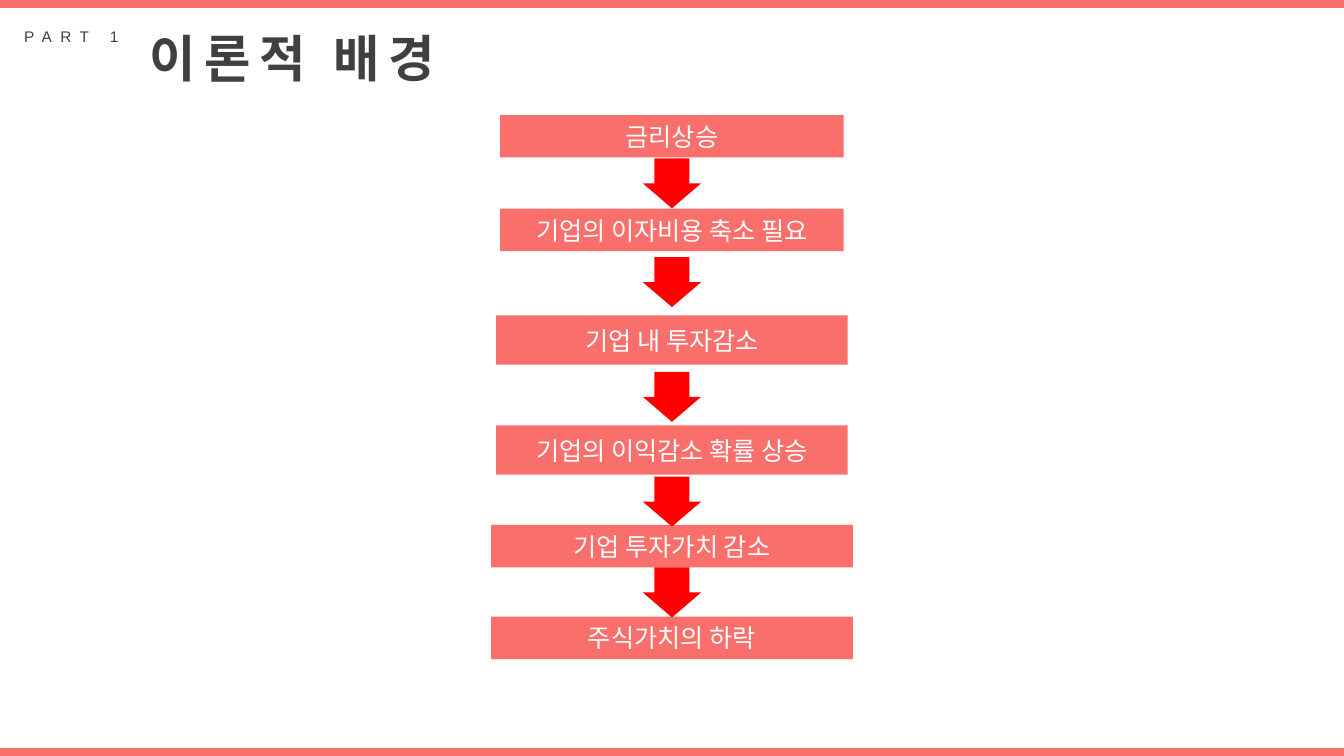
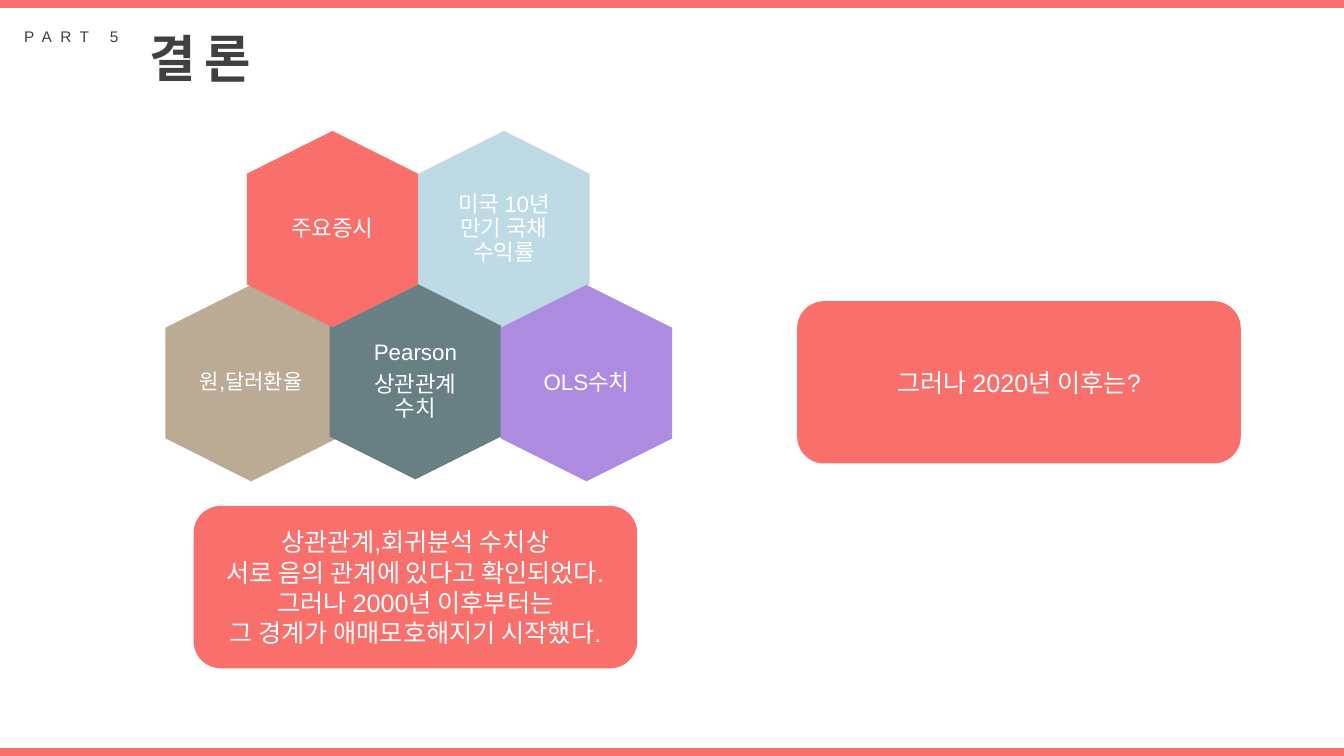
from dataclasses import dataclass

from pptx import Presentation
from pptx.dml.color import RGBColor
from pptx.enum.shapes import MSO_SHAPE
from pptx.enum.text import MSO_ANCHOR, MSO_AUTO_SIZE, PP_ALIGN
from pptx.shapes.autoshape import Shape
from pptx.slide import Slide
from pptx.util import Cm, Pt

RECTANGLE = MSO_SHAPE.RECTANGLE
DOWN_ARROW = MSO_SHAPE.DOWN_ARROW
ROUNDED_PANEL = MSO_SHAPE.FLOWCHART_ALTERNATE_PROCESS
CENTER = PP_ALIGN.CENTER
MIDDLE = MSO_ANCHOR.MIDDLE
GROW = MSO_AUTO_SIZE.SHAPE_TO_FIT_TEXT

FONT = "Arial"
COLORS = {
    "coral": "F86F6C",
    "red": "FF0000",
    "sky": "BEDAE5",
    "sand": "BBAB94",
    "slate": "688084",
    "violet": "AD8BE1",
    "heading": "404040",
    "white": "FFFFFF",
}
SLIDE_WIDTH, SLIDE_HEIGHT = 33.87, 19.05
BAND_HEIGHT = 0.2
ARROW_WIDTH, ARROW_HEIGHT = 1.47, 1.26
HEXAGON_WIDTH, HEXAGON_HEIGHT, HEXAGON_SHOULDER = 4.32, 4.95, 1.08
PANEL_WIDTH, PANEL_HEIGHT = 11.18, 4.09


@dataclass(frozen=True)
class Step:
    text: str
    top: float
    width: float
    height: float


@dataclass(frozen=True)
class Hexagon:
    lines: tuple[str, ...]
    left: float
    top: float
    color: str
    size: int = 16


@dataclass(frozen=True)
class Panel:
    lines: tuple[str, ...]
    left: float
    top: float


STEPS = (
    Step("금리상승", 2.9, 8.66, 1.07),
    Step("기업의 이자비용 축소 필요", 5.26, 8.66, 1.07),
    Step("기업 내 투자감소", 7.95, 8.86, 1.24),
    Step("기업의 이익감소 확률 상승", 10.72, 8.86, 1.24),
    Step("기업 투자가치 감소", 13.23, 9.12, 1.07),
    Step("주식가치의 하락", 15.54, 9.12, 1.07),
)
ARROW_TOPS = (3.99, 6.48, 9.37, 12.01, 14.3)

HEXAGONS = (
    Hexagon(("미국 10년 만기 국채 수익률",), 10.54, 3.3, "sky"),
    Hexagon(("원,달러환율",), 4.17, 7.18, "sand", 15),
    Hexagon(("Pearson", "상관관계 수치"), 8.31, 7.13, "slate"),
    Hexagon(("OLS수치",), 12.62, 7.18, "violet"),
    Hexagon(("주요증시",), 6.22, 3.3, "coral"),
)
PANELS = (
    Panel(
        (
            "상관관계,회귀분석 수치상",
            "서로 음의 관계에 있다고 확인되었다.",
            "그러나 2000년 이후부터는",
            "그 경계가 애매모호해지기 시작했다.",
        ),
        4.88,
        12.75,
    ),
    Panel(("그러나 2020년 이후는?",), 20.09, 7.59),
)


def paint(shape: Shape, color: str) -> None:
    """Give a shape a flat fill with no line or shadow."""
    shape.shadow.inherit = False
    shape.fill.solid()
    shape.fill.fore_color.rgb = RGBColor.from_string(COLORS[color])
    shape.line.fill.background()


def write_centered(shape: Shape, lines: tuple[str, ...], size: int) -> None:
    """Write white centred paragraphs into a shape."""
    frame = shape.text_frame
    frame.word_wrap = True
    frame.vertical_anchor = MIDDLE
    frame.text = "\n".join(lines)
    for paragraph in frame.paragraphs:
        paragraph.alignment = CENTER
        paragraph.font.name = FONT
        paragraph.font.size = Pt(size)
        paragraph.font.color.rgb = RGBColor.from_string(COLORS["white"])


def add_block(slide: Slide, kind: MSO_SHAPE, left: float, top: float,
              width: float, height: float, color: str) -> Shape:
    """Add a flat preset shape measured in centimetres."""
    shape = slide.shapes.add_shape(kind, Cm(left), Cm(top), Cm(width), Cm(height))
    paint(shape, color)
    return shape


def add_heading(slide: Slide, text: str, left: float, width: float,
                height: float, size: int, bold: bool) -> None:
    """Add a letter-spaced heading at the top of the slide."""
    box = slide.shapes.add_textbox(Cm(left), Cm(0.56), Cm(width), Cm(height))
    frame = box.text_frame
    frame.word_wrap = False
    frame.auto_size = GROW
    paragraph = frame.paragraphs[0]
    paragraph.font.name = FONT
    paragraph.font.size = Pt(size)
    paragraph.font.bold = bold
    paragraph.font.color.rgb = RGBColor.from_string(COLORS["heading"])
    run = paragraph.add_run()
    run.text = text
    run._r.get_or_add_rPr().set("spc", "600")


def add_base_slide(presentation: Presentation, part: str, title: str,
                   title_width: float) -> Slide:
    """Add a blank slide with its bands, part label and title."""
    slide = presentation.slides.add_slide(presentation.slide_layouts[6])
    for top in (0, SLIDE_HEIGHT - BAND_HEIGHT):
        add_block(slide, RECTANGLE, 0, top, SLIDE_WIDTH, BAND_HEIGHT, "coral")
    add_heading(slide, title, 3.53, title_width, 1.8, 36, True)
    add_heading(slide, part, 0.36, 3.18, 0.74, 11, False)
    return slide


def add_step(slide: Slide, step: Step) -> None:
    """Add a centred box of the flow."""
    left = (SLIDE_WIDTH - step.width) / 2
    box = add_block(slide, RECTANGLE, left, step.top, step.width, step.height, "coral")
    write_centered(box, (step.text,), 18)


def add_arrow(slide: Slide, top: float) -> None:
    """Add a centred arrow pointing down to the next step."""
    left = (SLIDE_WIDTH - ARROW_WIDTH) / 2
    arrow = add_block(slide, DOWN_ARROW, left, top, ARROW_WIDTH, ARROW_HEIGHT, "red")
    arrow.adjustments[0] = 0.6
    arrow.adjustments[1] = 0.5


def add_hexagon(slide: Slide, hexagon: Hexagon) -> None:
    """Add a pointed-top hexagon with its label."""
    left, middle = hexagon.left, hexagon.left + HEXAGON_WIDTH / 2
    right = left + HEXAGON_WIDTH
    top, bottom = hexagon.top, hexagon.top + HEXAGON_HEIGHT
    upper, lower = top + HEXAGON_SHOULDER, bottom - HEXAGON_SHOULDER
    corners = ((right, upper), (right, lower), (middle, bottom), (left, lower), (left, upper))
    builder = slide.shapes.build_freeform(Cm(middle), Cm(top))
    builder.add_line_segments([(Cm(x), Cm(y)) for x, y in corners], close=True)
    shape = builder.convert_to_shape()
    paint(shape, hexagon.color)
    write_centered(shape, hexagon.lines, hexagon.size)
    frame = shape.text_frame
    frame.margin_left = frame.margin_right = Cm(0.66)
    frame.margin_top = frame.margin_bottom = Cm(0.74)
    for paragraph in frame.paragraphs:
        paragraph.line_spacing = 0.9
        paragraph.space_after = Pt(6)


def add_panel(slide: Slide, panel: Panel) -> None:
    """Add a rounded panel with a statement."""
    shape = add_block(slide, ROUNDED_PANEL, panel.left, panel.top,
                      PANEL_WIDTH, PANEL_HEIGHT, "coral")
    write_centered(shape, panel.lines, 18)


def build_background_slide(presentation: Presentation) -> None:
    """Build the flow from rising rates to falling share value."""
    slide = add_base_slide(presentation, "PART 1", "이론적 배경", 8.56)
    for step in STEPS:
        add_step(slide, step)
    for top in ARROW_TOPS:
        add_arrow(slide, top)


def build_conclusion_slide(presentation: Presentation) -> None:
    """Build the hexagon cluster and the concluding panels."""
    slide = add_base_slide(presentation, "PART 5", "결론", 3.51)
    for hexagon in HEXAGONS:
        add_hexagon(slide, hexagon)
    for panel in PANELS:
        add_panel(slide, panel)


def main() -> None:
    """Build and save the presentation."""
    presentation = Presentation()
    presentation.slide_width = Cm(SLIDE_WIDTH)
    presentation.slide_height = Cm(SLIDE_HEIGHT)
    build_background_slide(presentation)
    build_conclusion_slide(presentation)
    presentation.save("out.pptx")


if __name__ == "__main__":
    main()
